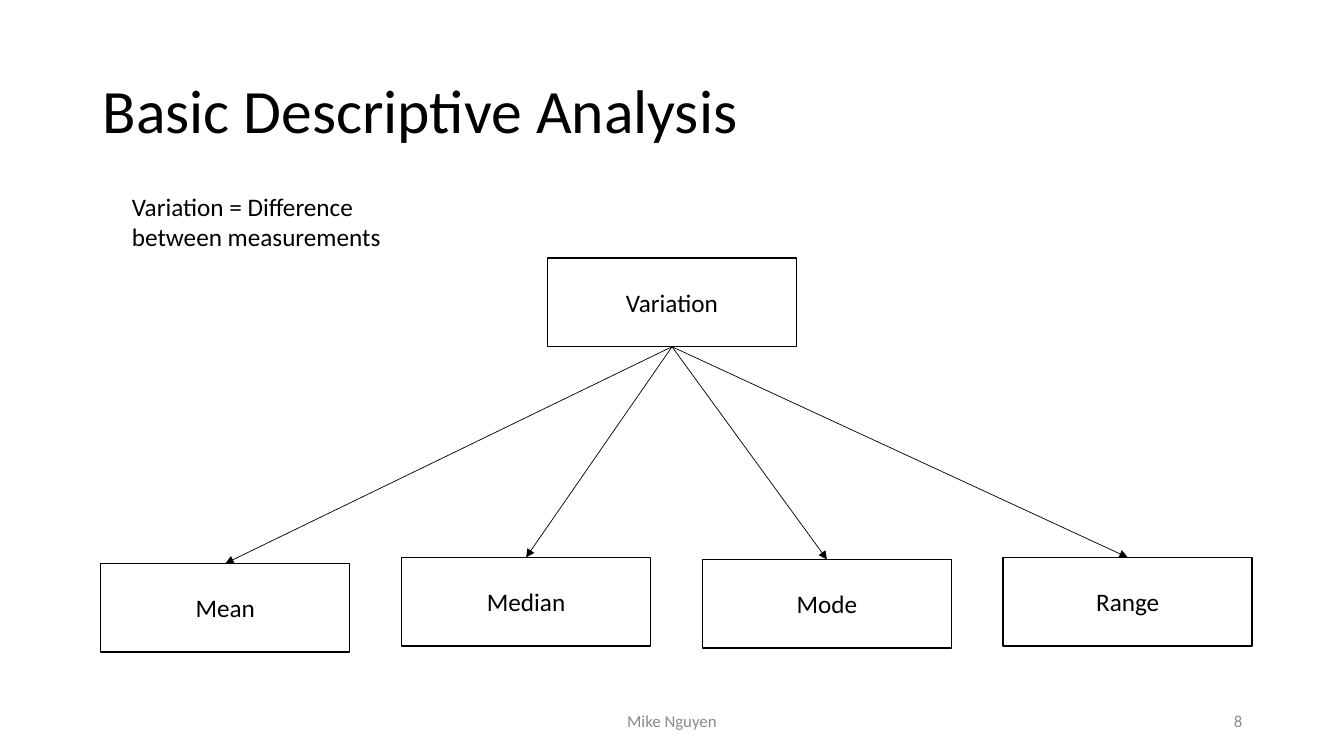
from lxml import etree
from pptx import Presentation
from pptx import util as u
from pptx.dml.color import RGBColor
from pptx.enum import shapes, text
from pptx.oxml.ns import qn

BLACK = RGBColor(0x00, 0x00, 0x00)
WHITE = RGBColor(0xFF, 0xFF, 0xFF)
GREY = RGBColor(0x8C, 0x8C, 0x8C)
FONT = "Calibri"
WIDTH, HEIGHT = 13.33, 7.5
MARGIN = 0.92
CONTENT_WIDTH = 11.5
NODE_WIDTH, NODE_HEIGHT = 2.47, 0.88
BOTTOM, TOP = 2, 0
LEFT, CENTER, RIGHT = text.PP_ALIGN.LEFT, text.PP_ALIGN.CENTER, text.PP_ALIGN.RIGHT
# Each measure with its drop below the top of the measures row
MEASURES = [("Mean", 0.06), ("Median", 0), ("Mode", 0.02), ("Range", 0)]


def write(shape, wording, size, color=BLACK, align=LEFT, anchor=text.MSO_ANCHOR.MIDDLE):
    frame = shape.text_frame
    frame.text = wording
    frame.word_wrap = True
    frame.vertical_anchor = anchor
    paragraph = frame.paragraphs[0]
    paragraph.alignment = align
    font = paragraph.runs[0].font
    font.name, font.size, font.color.rgb = FONT, u.Pt(size), color
    return paragraph


def add_label(slide, box, wording, size, **style):
    label = slide.shapes.add_textbox(*map(u.Inches, box))
    return write(label, wording, size, **style)


def add_node(slide, left, top, wording):
    box = map(u.Inches, (left, top, NODE_WIDTH, NODE_HEIGHT))
    node = slide.shapes.add_shape(shapes.MSO_SHAPE.RECTANGLE, *box)
    node.shadow.inherit = False
    node.fill.solid()
    node.fill.fore_color.rgb = WHITE
    node.line.color.rgb = BLACK
    node.line.width = u.Pt(1)
    write(node, wording, 18, align=CENTER)
    return node


def add_arrow(slide, parent, child):
    """Join the bottom of the parent to the top of the child."""
    arrow = slide.shapes.add_connector(shapes.MSO_CONNECTOR.STRAIGHT, 0, 0, 0, 0)
    arrow.begin_connect(parent, BOTTOM)
    arrow.end_connect(child, TOP)
    arrow.line.color.rgb = BLACK
    arrow.line.width = u.Pt(0.5)
    etree.SubElement(arrow.line._get_or_add_ln(), qn("a:tailEnd"), type="triangle")
    etree.SubElement(arrow._element.spPr, qn("a:effectLst"))


def add_heading(slide, left, top, width, height):
    title = add_label(slide, (left, top, width, height), "Basic Descriptive Analysis", 44)
    title.line_spacing = 0.9


def add_definition(slide, left, top, width, height):
    add_label(slide, (left, top, width, height),
              "Variation = Difference between measurements", 18,
              anchor=text.MSO_ANCHOR.TOP)


def add_tree(slide, left, top, width, height):
    """Place the root at the slide's centre and the measures evenly along the bottom."""
    root = add_node(slide, (WIDTH - NODE_WIDTH) / 2, top, "Variation")
    pitch = (width - NODE_WIDTH) / (len(MEASURES) - 1)
    row_top = top + height - NODE_HEIGHT
    measures = [add_node(slide, left + column * pitch, row_top + drop, name)
                for column, (name, drop) in enumerate(MEASURES)]
    for measure in measures:
        add_arrow(slide, root, measure)


def add_footer(slide, left, top, width, height):
    author_width, number_width = 4.5, 3
    add_label(slide, ((WIDTH - author_width) / 2, top, author_width, height),
              "Mike Nguyen", 12, color=GREY, align=CENTER)
    add_label(slide, (left + width - number_width, top, number_width, height),
              "8", 12, color=GREY, align=RIGHT)


def main():
    deck = Presentation()
    deck.slide_width, deck.slide_height = u.Inches(WIDTH), u.Inches(HEIGHT)
    slide = deck.slides.add_slide(deck.slide_layouts[6])
    add_heading(slide, MARGIN, 0.4, CONTENT_WIDTH, 1.45)
    add_footer(slide, MARGIN, 6.95, CONTENT_WIDTH, 0.4)
    add_definition(slide, 1.21, 1.85, 2.83, 0.71)
    add_tree(slide, 1, 2.56, 11.42, 3.85)
    deck.save("out.pptx")


if __name__ == "__main__":
    main()
